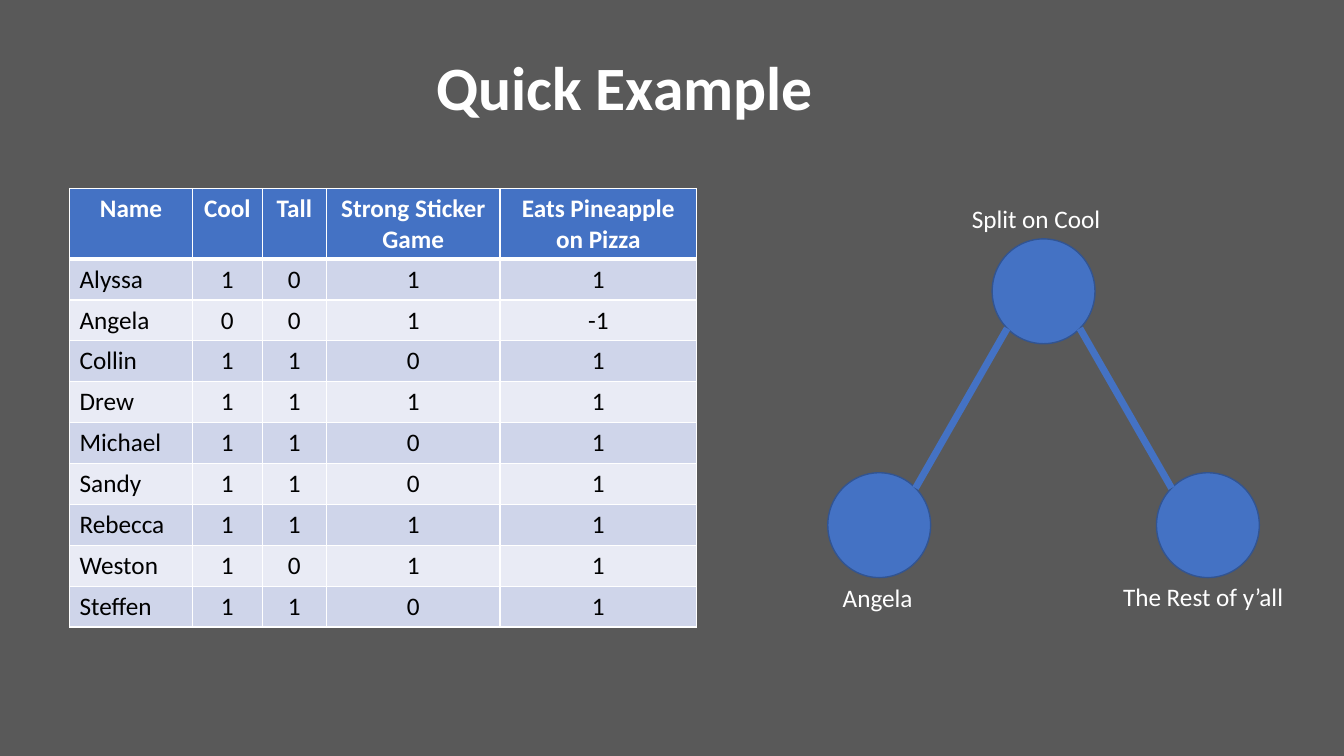
from math import sqrt

from lxml import etree
from pptx import Presentation
from pptx.dml.color import RGBColor
from pptx.enum.shapes import MSO_CONNECTOR, MSO_SHAPE
from pptx.enum.text import MSO_ANCHOR, PP_ALIGN
from pptx.oxml.ns import qn
from pptx.util import Inches, Pt

STRAIGHT = MSO_CONNECTOR.STRAIGHT
OVAL = MSO_SHAPE.OVAL
MIDDLE, TOP = MSO_ANCHOR.MIDDLE, MSO_ANCHOR.TOP
LEFT, CENTER = PP_ALIGN.LEFT, PP_ALIGN.CENTER

FONT = "Calibri"
WHITE = RGBColor(0xFF, 0xFF, 0xFF)
BLACK = RGBColor(0, 0, 0)
GREY = RGBColor(0x59, 0x59, 0x59)
BLUE = RGBColor(0x44, 0x72, 0xC4)
DARK_BLUE = RGBColor(0x32, 0x54, 0x91)
BAND_DARK = RGBColor(0xCF, 0xD5, 0xEA)
BAND_LIGHT = RGBColor(0xE9, 0xEB, 0xF5)

HEADINGS = ["Name", "Cool", "Tall", "Strong Sticker Game", "Eats Pineapple on Pizza"]
PEOPLE = [
    ("Alyssa", 1, 0, 1, 1),
    ("Angela", 0, 0, 1, -1),
    ("Collin", 1, 1, 0, 1),
    ("Drew", 1, 1, 1, 1),
    ("Michael", 1, 1, 0, 1),
    ("Sandy", 1, 1, 0, 1),
    ("Rebecca", 1, 1, 1, 1),
    ("Weston", 1, 0, 1, 1),
    ("Steffen", 1, 1, 0, 1),
]
COLUMN_WIDTHS = [1.22, 0.69, 0.64, 1.72, 1.95]
HEADER_HEIGHT = 0.7


def style(paragraph, size, color, bold=False, align=LEFT):
    font = paragraph.font
    font.name, font.size, font.bold = FONT, Pt(size), bold
    font.color.rgb = color
    paragraph.alignment = align


def add_text(slide, text, left, top, width, height, size=18, bold=False, anchor=TOP):
    box = slide.shapes.add_textbox(
        Inches(left), Inches(top), Inches(width), Inches(height))
    frame = box.text_frame
    frame.word_wrap = True
    frame.vertical_anchor = anchor
    frame.text = text
    style(frame.paragraphs[0], size, WHITE, bold)
    return frame.paragraphs[0]


def set_borders(cell, bottom_width):
    properties = cell._tc.get_or_add_tcPr()
    for side, width in (("L", 1), ("R", 1), ("T", 1), ("B", bottom_width)):
        border = etree.SubElement(properties, qn(f"a:ln{side}"), w=str(Pt(width)))
        fill = etree.SubElement(border, qn("a:solidFill"))
        etree.SubElement(fill, qn("a:srgbClr"), val=str(WHITE))


def add_title(slide, left, top, width, height):
    title = add_text(slide, "Quick Example", left, top, width, height, 44, True, MIDDLE)
    title.line_spacing = 0.9


def add_people_table(slide, left, top, width, height):
    rows = [HEADINGS, *PEOPLE]
    table = slide.shapes.add_table(
        len(rows), len(HEADINGS),
        Inches(left), Inches(top), Inches(width), Inches(height)).table
    for column, column_width in zip(table.columns, COLUMN_WIDTHS):
        column.width = Inches(column_width)
    for r, values in enumerate(rows):
        header = r == 0
        table.rows[r].height = Inches(
            HEADER_HEIGHT if header else (height - HEADER_HEIGHT) / len(PEOPLE))
        band = BLUE if header else BAND_DARK if r % 2 else BAND_LIGHT
        for c, value in enumerate(values):
            cell = table.cell(r, c)
            cell.text = str(value)
            style(cell.text_frame.paragraphs[0], 18, WHITE if header else BLACK,
                  header, CENTER if header or c else LEFT)
            set_borders(cell, 3 if header or r == 0 else 1)
            if r == 1:
                # The first body row shares the thick rule below the header
                cell._tc.tcPr.find(qn("a:lnT")).set("w", str(Pt(3)))
            cell.fill.solid()
            cell.fill.fore_color.rgb = band


def add_node(slide, left, top, width, height):
    node = slide.shapes.add_shape(
        OVAL, Inches(left), Inches(top), Inches(width), Inches(height))
    node.shadow.inherit = False
    node.fill.solid()
    node.fill.fore_color.rgb = BLUE
    node.line.color.rgb = DARK_BLUE
    node.line.width = Pt(1)


def add_branch(slide, start_x, start_y, end_x, end_y):
    branch = slide.shapes.add_connector(
        STRAIGHT, Inches(start_x), Inches(start_y), Inches(end_x), Inches(end_y))
    branch.line.color.rgb = BLUE
    branch.line.width = Pt(5)
    etree.SubElement(branch._element.spPr, qn("a:effectLst"))


def add_decision_tree(slide, left, top, width, height):
    node_w, node_h, label_h = 1.02, 1.04, 0.4
    root_x = left + (width - node_w) / 2
    right_x = left + width - node_w
    leaf_y = top + height - node_h

    # Nodes
    for x, y in ((root_x, top), (left, leaf_y), (right_x, leaf_y)):
        add_node(slide, x, y, node_w, node_h)

    # Branches meet the circles on their diagonals
    dx, dy = node_w / 2 / sqrt(2), node_h / 2 / sqrt(2)
    root_center, leaf_center = root_x + node_w / 2, leaf_y + node_h / 2
    for side, leaf_x in ((-1, left), (1, right_x)):
        add_branch(slide, root_center + side * dx, top + node_h / 2 + dy,
                   leaf_x + node_w / 2 - side * dx, leaf_center - dy)

    # Labels
    leaf_label_y = leaf_y + node_h
    add_text(slide, "Split on Cool", root_x - 0.3, top - label_h, 1.63, label_h)
    add_text(slide, "Angela", left + 0.05, leaf_label_y, 1.02, label_h)
    add_text(slide, "The Rest of y’all", right_x - 0.43, leaf_label_y - 0.01,
             1.86, label_h)


def main():
    deck = Presentation()
    deck.slide_width, deck.slide_height = Inches(13.33), Inches(7.5)
    slide = deck.slides.add_slide(deck.slide_layouts[6])
    slide.background.fill.solid()
    slide.background.fill.fore_color.rgb = GREY

    add_title(slide, 4.23, 0.17, 3.98, 1.45)
    add_people_table(slide, 0.69, 1.87, sum(COLUMN_WIDTHS), 4.35)
    add_decision_tree(slide, 8.21, 2.37, 4.28, 3.36)
    deck.save("out.pptx")


if __name__ == "__main__":
    main()
